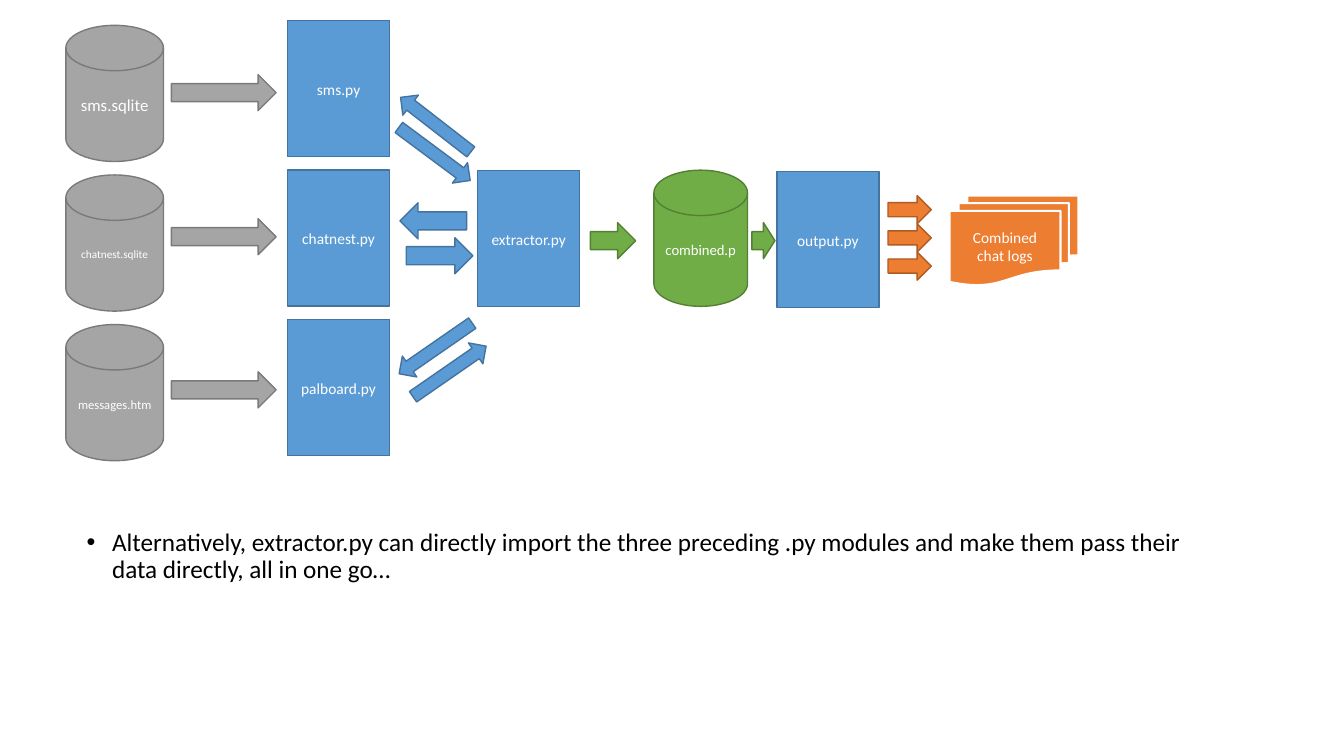
import pptx
import pptx.util
import pptx.dml.color
import pptx.enum.shapes
import pptx.enum.text

Cm = pptx.util.Cm
Pt = pptx.util.Pt
RGB = pptx.dml.color.RGBColor.from_string
KIND = pptx.enum.shapes.MSO_SHAPE
ALIGN = pptx.enum.text.PP_ALIGN
ANCHOR = pptx.enum.text.MSO_ANCHOR

COLORS = {
    "blue": "5B9BD5", "blue line": "43739E",
    "gray": "A5A5A5", "gray line": "7A7A7A",
    "green": "70AD47", "green line": "538035",
    "orange": "ED7D31", "orange line": "AF5C24",
    "white": "FFFFFF", "black": "000000",
}
FONT = "Calibri"

deck = pptx.Presentation()
deck.slide_width = Cm(33.87)
deck.slide_height = Cm(19.05)
page = deck.slides.add_slide(deck.slide_layouts[1])


def style_text(para, size, color):
    for span in para.runs:
        span.font.name = FONT
        span.font.size = Pt(size)
        span.font.color.rgb = RGB(COLORS[color])


def add_part(kind, left, top, width, height, color, label="", size=11, rotation=0):
    part = page.shapes.add_shape(kind, Cm(left), Cm(top), Cm(width), Cm(height))
    part.shadow.inherit = False
    part.rotation = rotation
    part.fill.solid()
    part.fill.fore_color.rgb = RGB(COLORS[color])
    part.line.color.rgb = RGB(COLORS[color + " line"])
    part.line.width = Pt(1)
    if label:
        frame = part.text_frame
        frame.word_wrap = True
        frame.vertical_anchor = ANCHOR.MIDDLE
        frame.text = label
        para = frame.paragraphs[0]
        para.alignment = ALIGN.CENTER
        if kind == KIND.RECTANGLE:
            para.line_spacing = 1.07
            para.space_after = Pt(8)
        style_text(para, size, color="white")
    return part


row_step = 3.77
box_width, box_height = 2.57, 3.43
arrow_height = 0.91

sources = [
    ("sms.sqlite", 12, "sms.py", 1.88),
    ("chatnest.sqlite", 8, "chatnest.py", 5.51),
    ("messages.htm", 9, "palboard.py", 9.37),
]
for row, (database, size, module, arrow_top) in enumerate(sources):
    offset = row * row_step
    add_part(KIND.FLOWCHART_MAGNETIC_DISK, 1.66, 0.64 + offset, 2.46, box_height,
             "gray", database, size)
    add_part(KIND.RIGHT_ARROW, 4.32, arrow_top, 2.64, arrow_height, "gray")
    add_part(KIND.RECTANGLE, 7.25, 0.51 + offset, box_width, box_height, "blue", module)

for left, top, module in [(12.04, 4.29, "extractor.py"), (19.58, 4.32, "output.py")]:
    add_part(KIND.RECTANGLE, left, top, box_width, box_height, "blue", module)

exchanges = [
    (9.86, 2.82, 2.24, 0.64, 217.8),
    (9.83, 3.56, 2.24, 0.64, 36.6),
    (10.08, 5.11, 1.68, arrow_height, 180),
    (10.24, 5.99, 1.68, arrow_height, 0),
    (9.86, 8.46, 2.24, 0.64, 145.3),
    (10.21, 9.04, 2.24, 0.64, 325.3),
]
for left, top, width, height, rotation in exchanges:
    add_part(KIND.RIGHT_ARROW, left, top, width, height, "blue", rotation=rotation)

add_part(KIND.FLOWCHART_MAGNETIC_DISK, 16.48, 4.29, 2.36, box_height,
         "green", "combined.p", 10.5)
for left, width in [(14.88, 1.14), (18.95, 0.58)]:
    add_part(KIND.RIGHT_ARROW, left, 5.61, width, arrow_height, "green")

for row in range(3):
    add_part(KIND.RIGHT_ARROW, 22.38, 4.93 + row * 0.71, 1.09, 0.71, "orange")
logs = add_part(KIND.FLOWCHART_MULTIDOCUMENT, 23.93, 4.93, 3.25, 2.26,
                "orange", "Combined chat logs")
logs.line.color.rgb = RGB(COLORS["white"])
logs.line.width = Pt(1.5)

title = page.shapes.title
title.element.getparent().remove(title.element)

body = page.placeholders[1]
body.left, body.top, body.width, body.height = Cm(1.93), Cm(13.21), Cm(29.21), Cm(4.67)
frame = body.text_frame
frame.word_wrap = True
frame.auto_size = pptx.enum.text.MSO_AUTO_SIZE.NONE
frame.vertical_anchor = ANCHOR.TOP
frame.text = (
    "Alternatively, extractor.py can directly import the three preceding .py modules "
    "and make them pass their data directly, all in one go…"
)
para = frame.paragraphs[0]
para.alignment = ALIGN.LEFT
para.line_spacing = 0.9
para.space_before = Pt(10)
indent = para._p.get_or_add_pPr()
indent.set("marL", str(Cm(0.64)))
indent.set("indent", str(-Cm(0.64)))
style_text(para, 18, "black")

deck.save("out.pptx")
